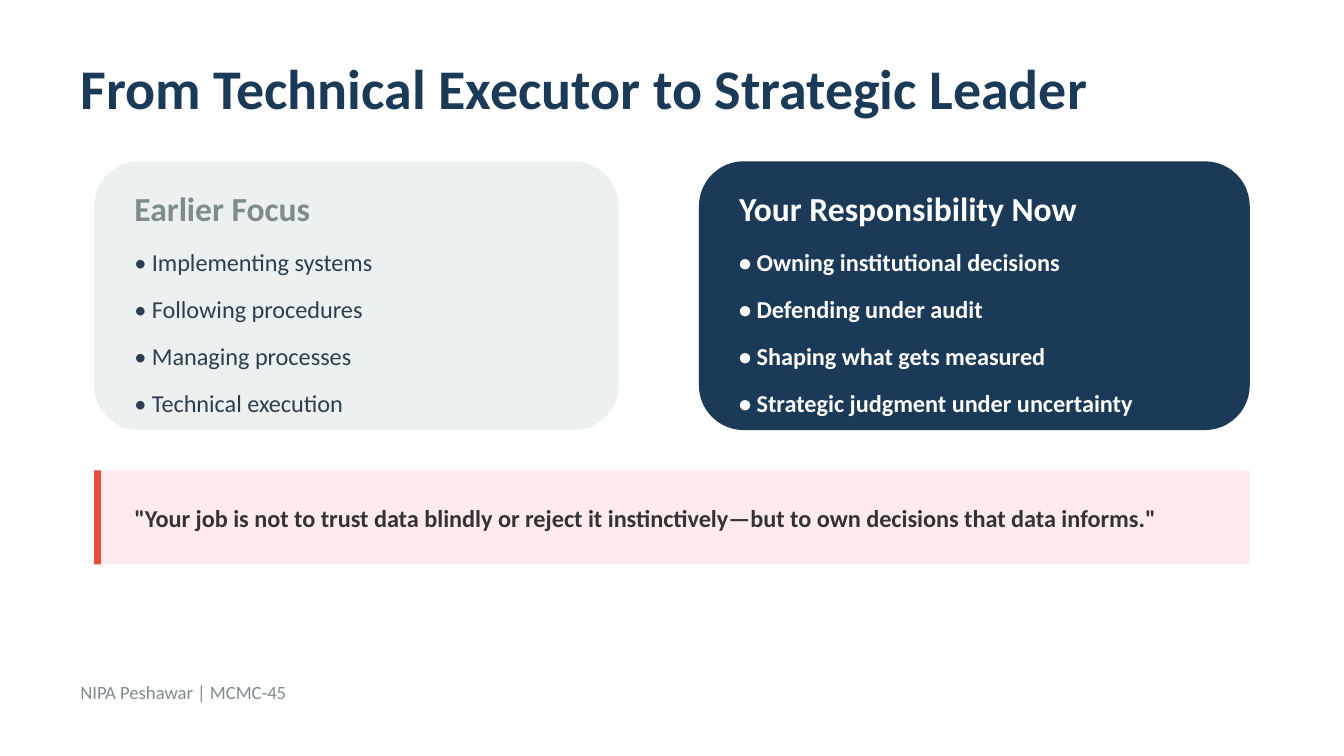
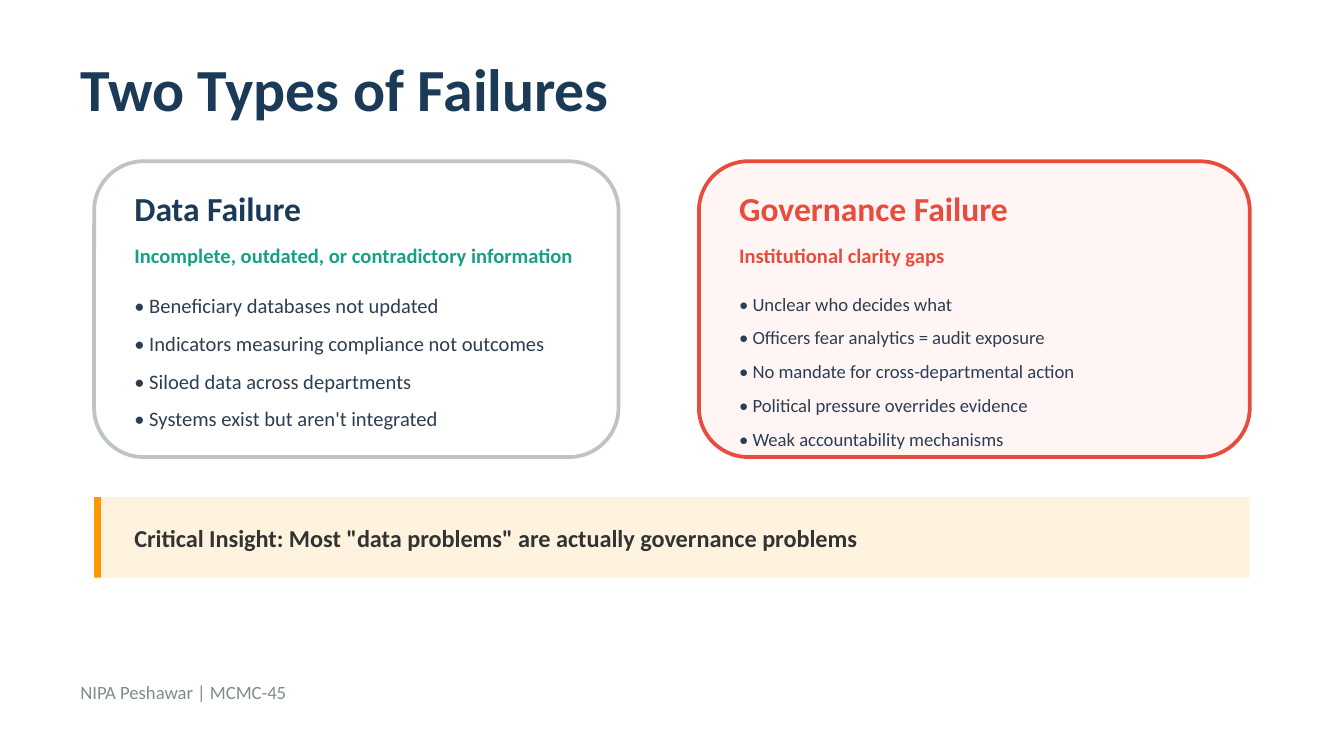
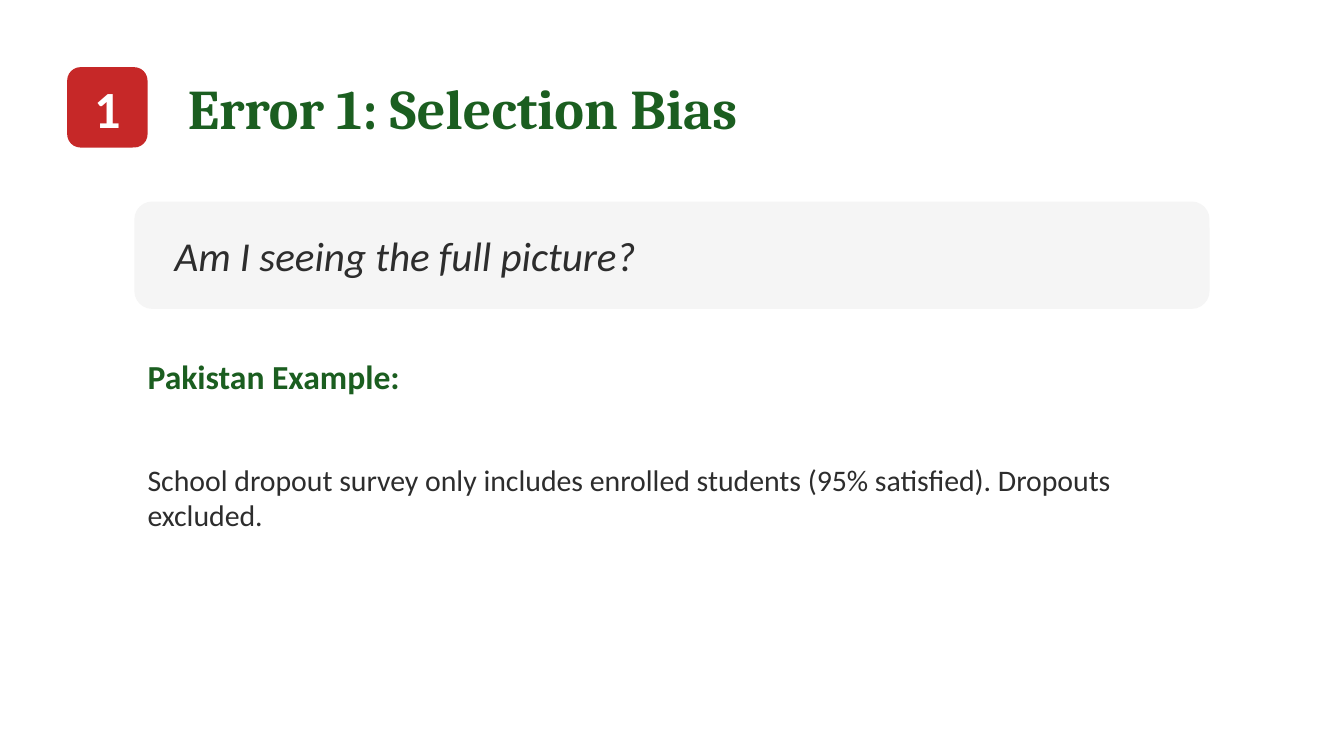
import pptx
import pptx.util
import pptx.dml.color
import pptx.enum.shapes
import pptx.enum.text

Cm = pptx.util.Cm
Pt = pptx.util.Pt
RGBColor = pptx.dml.color.RGBColor
MSO_SHAPE = pptx.enum.shapes.MSO_SHAPE
PP_ALIGN = pptx.enum.text.PP_ALIGN

# Colours
WHITE = RGBColor(0xFF, 0xFF, 0xFF)
NAVY = RGBColor(0x1B, 0x3A, 0x57)
SLATE = RGBColor(0x2C, 0x3E, 0x50)
GRAY = RGBColor(0x7F, 0x8C, 0x8D)
SILVER = RGBColor(0xBD, 0xC3, 0xC7)
CLOUD = RGBColor(0xEC, 0xF0, 0xF1)
RED = RGBColor(0xE7, 0x4C, 0x3C)
PINK = RGBColor(0xFF, 0xEB, 0xEE)
BLUSH = RGBColor(0xFF, 0xF5, 0xF5)
TEAL = RGBColor(0x16, 0xA0, 0x85)
ORANGE = RGBColor(0xFF, 0x98, 0x00)
CREAM = RGBColor(0xFF, 0xF3, 0xE0)
CHARCOAL = RGBColor(0x33, 0x33, 0x33)
INK = RGBColor(0x2D, 0x2D, 0x2D)
CRIMSON = RGBColor(0xC6, 0x28, 0x28)
GREEN = RGBColor(0x1B, 0x5E, 0x20)
PALE = RGBColor(0xF5, 0xF5, 0xF5)

# Shared layout, in centimetres
MARGIN = 1.27
FULL_WIDTH = 22.86
CARD_TOP = 3.05
CARD_PADDING = 0.51
LEFT_CARD = (1.78, 9.91)
RIGHT_CARD = (13.21, 10.41)
CALLOUT_LEFT, CALLOUT_WIDTH = 1.78, 21.84
LINE_HEIGHT = 0.76


class Deck:
    """Holds the shared style and the slide being built."""

    def __init__(self):
        self.presentation = pptx.Presentation()
        self.presentation.slide_width = Cm(25.4)
        self.presentation.slide_height = Cm(14.29)
        self.slide = None

    def new_slide(self):
        blank_layout = self.presentation.slide_layouts[6]
        self.slide = self.presentation.slides.add_slide(blank_layout)
        background = self.slide.background.fill
        background.solid()
        background.fore_color.rgb = WHITE

    def text(self, content, left, top, width, height, size, color,
             bold=False, italic=False, font="Calibri", align=None):
        box = self.slide.shapes.add_textbox(Cm(left), Cm(top), Cm(width), Cm(height))
        frame = box.text_frame
        frame.word_wrap = True
        frame.vertical_anchor = pptx.enum.text.MSO_ANCHOR.MIDDLE
        paragraph = frame.paragraphs[0]
        paragraph.alignment = align
        run = paragraph.add_run()
        run.text = content
        run.font.name = font
        run.font.size = Pt(size)
        run.font.bold = bold
        run.font.italic = italic
        run.font.color.rgb = color

    def block(self, kind, left, top, width, height, fill, line=None):
        shape = self.slide.shapes.add_shape(kind, Cm(left), Cm(top), Cm(width), Cm(height))
        shape.shadow.inherit = False
        shape.fill.solid()
        shape.fill.fore_color.rgb = fill
        if line is None:
            shape.line.fill.background()
        else:
            shape.line.color.rgb = line
            shape.line.width = Pt(2)

    def title(self, content, size):
        self.text(content, MARGIN, 1.02, FULL_WIDTH, 1.27, size, NAVY, bold=True)

    def footer(self):
        self.text("NIPA Peshawar | MCMC-45", MARGIN, 12.7, FULL_WIDTH, LINE_HEIGHT, 10, GRAY)

    def card(self, place, height, fill, heading, heading_color, line=None,
             subtitle=None, subtitle_color=None):
        left, width = place
        self.block(MSO_SHAPE.ROUNDED_RECTANGLE, left, CARD_TOP, width, height, fill, line)
        inner = left + CARD_PADDING
        inner_width = width - 2 * CARD_PADDING
        self.text(heading, inner, 3.56, inner_width, LINE_HEIGHT, 18, heading_color, bold=True)
        if subtitle:
            self.text(subtitle, inner, 4.45, inner_width, LINE_HEIGHT, 11,
                      subtitle_color, bold=True)

    def bullets(self, place, items, top, step, height, size, color, bold=False):
        left, width = place
        for row, item in enumerate(items):
            self.text(f"• {item}", left + CARD_PADDING, top + row * step,
                      width - 2 * CARD_PADDING, height, size, color, bold)

    def callout(self, content, top, height, fill, accent):
        self.block(MSO_SHAPE.RECTANGLE, CALLOUT_LEFT, top, CALLOUT_WIDTH, height, fill)
        self.block(MSO_SHAPE.RECTANGLE, CALLOUT_LEFT, top, 0.13, height, accent)
        self.text(content, CALLOUT_LEFT + CARD_PADDING, top + 0.38,
                  CALLOUT_WIDTH - 2 * CARD_PADDING, height - 0.76, 13, CHARCOAL, bold=True)


def build_leader_slide(deck):
    deck.new_slide()
    deck.title("From Technical Executor to Strategic Leader", 30)
    rows = dict(top=4.57, step=0.89, height=LINE_HEIGHT, size=13)

    deck.card(LEFT_CARD, 5.08, CLOUD, "Earlier Focus", GRAY)
    deck.bullets(LEFT_CARD, [
        "Implementing systems",
        "Following procedures",
        "Managing processes",
        "Technical execution",
    ], color=SLATE, **rows)

    deck.card(RIGHT_CARD, 5.08, NAVY, "Your Responsibility Now", WHITE)
    deck.bullets(RIGHT_CARD, [
        "Owning institutional decisions",
        "Defending under audit",
        "Shaping what gets measured",
        "Strategic judgment under uncertainty",
    ], color=WHITE, bold=True, **rows)

    deck.callout('"Your job is not to trust data blindly or reject it instinctively'
                 '—but to own decisions that data informs."', 8.89, 1.78, PINK, RED)
    deck.footer()


def build_failures_slide(deck):
    deck.new_slide()
    deck.title("Two Types of Failures", 32)

    deck.card(LEFT_CARD, 5.59, WHITE, "Data Failure", NAVY, SILVER,
              "Incomplete, outdated, or contradictory information", TEAL)
    deck.bullets(LEFT_CARD, [
        "Beneficiary databases not updated",
        "Indicators measuring compliance not outcomes",
        "Siloed data across departments",
        "Systems exist but aren't integrated",
    ], top=5.46, step=0.71, height=0.64, size=11, color=SLATE)

    deck.card(RIGHT_CARD, 5.59, BLUSH, "Governance Failure", RED, RED,
              "Institutional clarity gaps", RED)
    deck.bullets(RIGHT_CARD, [
        "Unclear who decides what",
        "Officers fear analytics = audit exposure",
        "No mandate for cross-departmental action",
        "Political pressure overrides evidence",
        "Weak accountability mechanisms",
    ], top=5.46, step=0.64, height=0.56, size=10, color=SLATE)

    deck.callout('Critical Insight: Most "data problems" are actually governance problems',
                 9.4, 1.52, CREAM, ORANGE)
    deck.footer()


def build_bias_slide(deck):
    deck.new_slide()

    # Numbered heading
    badge = (MARGIN, MARGIN, 1.52, 1.52)
    deck.block(MSO_SHAPE.ROUNDED_RECTANGLE, *badge, CRIMSON)
    deck.text("1", *badge, 28, WHITE, bold=True, align=PP_ALIGN.CENTER)
    deck.text("Error 1: Selection Bias", 3.3, MARGIN, 17.78, 1.52, 30, GREEN,
              bold=True, font="Cambria")

    # Question and example
    left, width = 2.54, 20.32
    deck.block(MSO_SHAPE.ROUNDED_RECTANGLE, left, 3.81, width, 2.03, PALE)
    deck.text("Am I seeing the full picture?", left + CARD_PADDING, 3.81,
              width - 2 * CARD_PADDING, 2.03, 22, INK, italic=True)
    deck.text("Pakistan Example:", left, 6.6, width, 1.02, 18, GREEN, bold=True)
    deck.text("School dropout survey only includes enrolled students (95% satisfied). "
              "Dropouts excluded.", left, 7.87, width, 3.05, 16, INK)


def main():
    deck = Deck()
    build_leader_slide(deck)
    build_failures_slide(deck)
    build_bias_slide(deck)
    deck.presentation.save("out.pptx")


if __name__ == "__main__":
    main()
